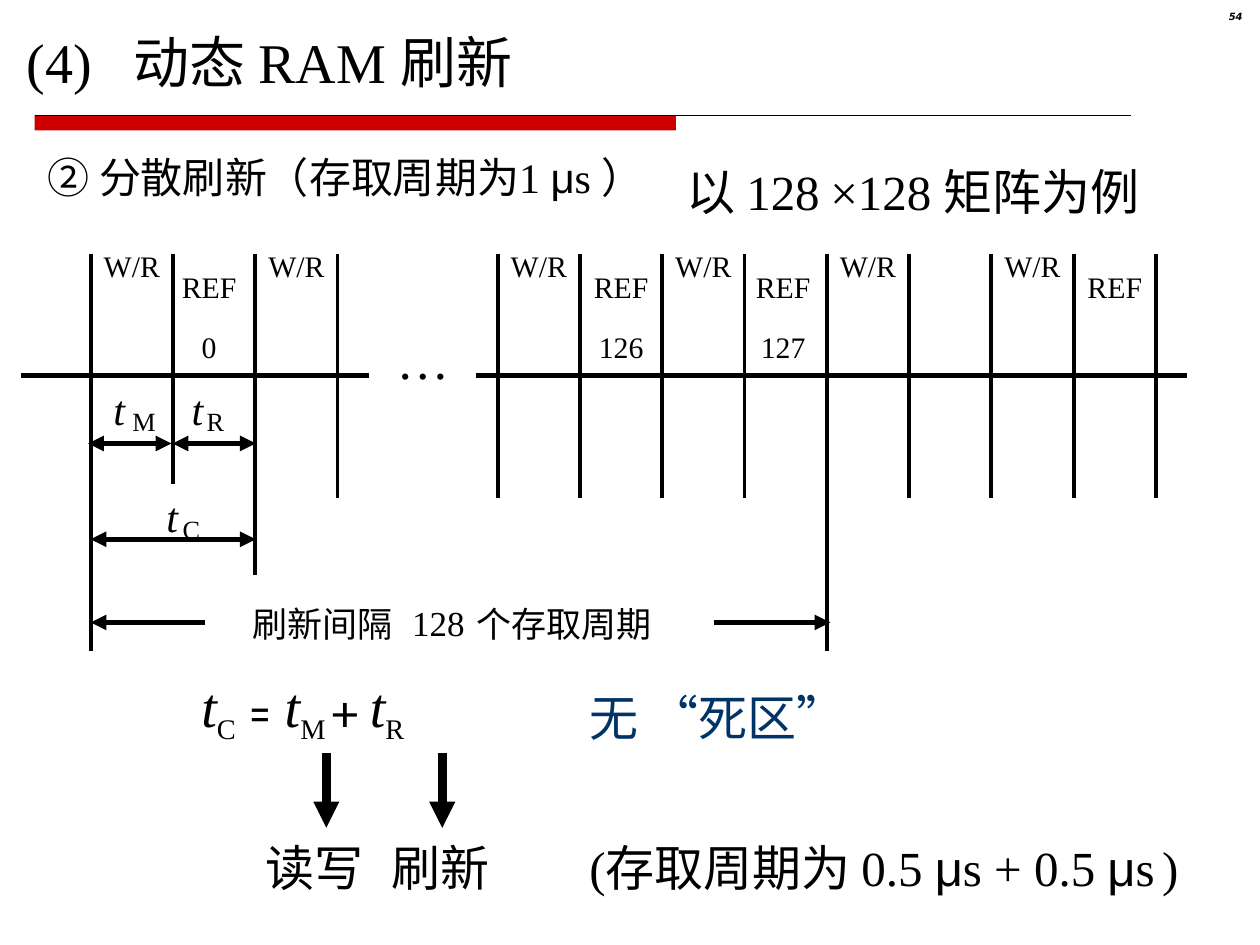
"""Build the slide on distributed refresh of dynamic RAM."""
from dataclasses import dataclass
from typing import Any, NamedTuple

from lxml.etree import SubElement
from pptx import Presentation
from pptx.dml.color import RGBColor
from pptx.enum.shapes import MSO_CONNECTOR as Conn, MSO_SHAPE as Shape
from pptx.enum.text import MSO_ANCHOR as Anchor, MSO_AUTO_SIZE as AutoSize, PP_ALIGN as Align
from pptx.oxml.ns import qn
from pptx.util import Emu, Pt

COLUMNS, ROWS = 100, 75
SERIF, SANS, GREEK = "Times New Roman", "Karla", "Arial"
BLACK, RED, NAVY = "000000", "CC0000", "003366"
PITCH, TOP, AXIS, SHORT, LONG = 6.53, 20.2, 29.8, 39.5, 51.7


class Box(NamedTuple):
    """Left, top, width and height in grid columns and rows."""
    x: float
    y: float
    w: float
    h: float


@dataclass
class Cell:
    """One cycle: its column, its label, and for a refresh the row number."""
    col: int
    name: str = "W/R"
    number: str = ""
    shift: float = 0


@dataclass
class Timeline:
    """One stretch of the time axis with its tick ends and cycles."""
    start: float
    left: float
    right: float
    tick_ends: list[float]
    cells: list[Cell]


@dataclass
class Arrow:
    """A line with an arrowhead at its end, or at both ends."""
    x1: float
    y1: float
    x2: float
    y2: float
    width: float = 3
    both: bool = False


@dataclass
class Label:
    """A text box made of runs, each a text with its format."""
    box: Box
    runs: list[tuple[str, dict[str, Any]]]
    size: float = 28
    color: str = BLACK
    inset: bool = True


TIMELINES = [
    Timeline(7.2, 1.7, 29.3, [LONG, 38.4, 45.6, SHORT],
             [Cell(0), Cell(1, "REF", "0", -0.4), Cell(2)]),
    Timeline(39.5, 37.8, 94.2, [SHORT] * 4 + [LONG] + [SHORT] * 4,
             [Cell(0), Cell(1, "REF", "126"), Cell(2), Cell(3, "REF", "127", -0.2),
              Cell(4), Cell(6), Cell(7, "REF")]),
]
ARROWS = [
    Arrow(16.3, 49.4, 7.2, 49.4), Arrow(56.7, 49.4, 65.9, 49.4),
    Arrow(7.2, 42.8, 20.3, 42.8, both=True),
    Arrow(7, 35.2, 13.6, 35.2, both=True), Arrow(13.7, 35.2, 20.3, 35.2, both=True),
    Arrow(25.9, 59.8, 25.9, 65.7, 5), Arrow(35.1, 59.8, 35.1, 65.7, 5),
]
T = ("t", {"size": 32, "italic": True})
SUB, MU = {"baseline": -25}, ("μ", {"font": GREEK})
LABELS = [
    Label(Box(15, 52.8, 31.7, 6.9), [T, ("C", SUB), (" = ", {"font": SANS}), T, ("M ", SUB),
                                     ("+ ", {"font": SANS}), T, ("R", SUB)]),
    Label(Box(20.1, 66, 12.5, 5.7), [("读写", {})]),
    Label(Box(30.1, 66, 12.5, 5.7), [("刷新", {})]),
    Label(Box(45.8, 54.1, 31.7, 5.7), [("无 “死区”", {})], color=NAVY),
    Label(Box(2.8, 11.5, 73.3, 5), [("② 分散刷新（存取周期为1 ", {}), MU, ("s ）", {})], 24),
    Label(Box(45.8, 66, 54.2, 5.7), [("(存取周期为 0.5 ", {}), MU, ("s + 0.5 ", {}), MU, ("s", {}),
                                     (" ", {"size": 18, "font": SANS}), (")", {})]),
    Label(Box(53.5, 12.3, 40.7, 5.7), [("以 128", {}), (" ", {"size": 24}), ("×128 矩阵为例", {})]),
    Label(Box(30.5, 25.5, 8.7, 6), [("…", {})], 30),
    Label(Box(20.05, 47.8, 12, 3.3), [("刷新间隔", {"font": SANS})], 20, inset=False),
    Label(Box(32.7, 47.7, 4.8, 3.3), [("128", {})], 20, inset=False),
    Label(Box(37.8, 47.8, 15, 3.3), [("个存取周期", {"font": SANS})], 20, inset=False),
]
TIMES = [("M", 9, 10.5, 30.4), ("R", 15.2, 16.4, 30.4), ("C", 13.2, 14.5, 38.9)]

prs = Presentation()
prs.slide_width, prs.slide_height = Emu(9144000), Emu(6858000)
s = prs.slides.add_slide(prs.slide_layouts[5])


def gx(columns: float) -> Emu:
    """Turn grid columns into a length."""
    return Emu(round(prs.slide_width * columns / COLUMNS))


def gy(rows: float) -> Emu:
    """Turn grid rows into a length."""
    return Emu(round(prs.slide_height * rows / ROWS))


def rgb(color: str) -> RGBColor:
    """Turn a hex string into a colour."""
    return RGBColor.from_string(color)


def place(box: Box) -> tuple[Emu, Emu, Emu, Emu]:
    """Turn a grid box into slide lengths."""
    return gx(box.x), gy(box.y), gx(box.w), gy(box.h)


def write(p, text: str, *, size: float = 28, font: str = SERIF, color: str = BLACK,
          bold: bool = False, italic: bool = False, baseline: int = 0) -> None:
    """Add one formatted run to a paragraph."""
    r = p.add_run()
    r.text = text
    f = r.font
    f.size, f.name, f.bold, f.italic = Pt(size), font, bold, italic
    f.color.rgb = rgb(color)
    if baseline:
        f._element.set("baseline", str(baseline * 1000))


def add_text(box: Box, runs: list, *, inset: bool = True, align: Align = Align.LEFT, **fmt: Any):
    """Add a text box of runs and return its paragraph."""
    tf = s.shapes.add_textbox(*place(box)).text_frame
    tf.word_wrap = inset
    if not inset:
        tf.margin_left = tf.margin_top = tf.margin_right = tf.margin_bottom = 0
    p = tf.paragraphs[0]
    p.alignment = align
    for text, own in runs:
        write(p, text, **{**fmt, **own})
    return p


def add_line(x1: float, y1: float, x2: float, y2: float, width: float, ends: tuple = ()) -> None:
    """Draw a black line with arrowheads at the named ends."""
    sp = s.shapes.add_connector(Conn.STRAIGHT, gx(x1), gy(y1), gx(x2), gy(y2))
    sp.line.color.rgb, sp.line.width = rgb(BLACK), Pt(width)
    for end in ends:
        SubElement(sp.line._get_or_add_ln(), qn(f"a:{end}"), type="triangle")
    SubElement(sp._element.spPr, qn("a:effectLst"))


def add_title(text: str, tab: float) -> None:
    """Fill the title placeholder, with one tab stop after the number."""
    sp = s.shapes.title
    sp.left, sp.top, sp.width, sp.height = place(Box(1.1, 1.7, 58.1, 6.4))
    tf = sp.text_frame
    tf.auto_size, tf.vertical_anchor, tf.word_wrap = AutoSize.NONE, Anchor.TOP, True
    p = tf.paragraphs[0]
    p.alignment = Align.LEFT
    tabs = SubElement(p._p.get_or_add_pPr(), qn("a:tabLst"))
    SubElement(tabs, qn("a:tab"), pos=str(gx(tab)), algn="l")
    write(p, text, size=32)


def add_rule() -> None:
    """Draw the red bar and the thin line under the title."""
    bar = s.shapes.add_shape(Shape.RECTANGLE, *place(Box(2.75, 9.15, 50.9, 1.2)))
    bar.shadow.inherit = False
    bar.fill.solid()
    bar.fill.fore_color.rgb = rgb(RED)
    bar.line.fill.background()
    add_line(2.75, 9.15, 89.8, 9.15, 0.75)


def add_timeline(t: Timeline) -> None:
    """Draw one stretch of the axis with ticks and centred cycle labels."""
    add_line(t.left, AXIS, t.right, AXIS, 3)
    for i, end in enumerate(t.tick_ends):
        x = t.start + i * PITCH
        add_line(x, TOP, x, end, 2.25)
    for c in t.cells:
        x = t.start + c.col * PITCH + c.shift
        y = 19.7 if c.name == "W/R" else 21.3
        for text, top in ((c.name, y), (c.number, 26.1)):
            if text:
                add_text(Box(x, top, PITCH, 2.8), [(text, {})], inset=False,
                         align=Align.CENTER, size=17)


add_title("(4)\t动态 RAM 刷新", 8.5)
add_rule()
number = add_text(Box(93.7, 0.5, 5.9, 2.3), [("54", {})], align=Align.RIGHT,
                  size=5.7, font="DejaVu Sans", bold=True, italic=True)
number.line_spacing = 0.8
for timeline in TIMELINES:
    add_timeline(timeline)
for a in ARROWS:
    add_line(a.x1, a.y1, a.x2, a.y2, a.width, ("headEnd", "tailEnd") if a.both else ("tailEnd",))
for sub, t_x, sub_x, row in TIMES:
    add_text(Box(t_x, row, 0.9, 4), [("t", {})], inset=False, size=24, italic=True)
    add_text(Box(sub_x, row + 1.8, 1.9, 2.5), [(sub, {})], inset=False, size=15)
for lb in LABELS:
    add_text(lb.box, lb.runs, inset=lb.inset, size=lb.size, color=lb.color)
prs.save("out.pptx")
